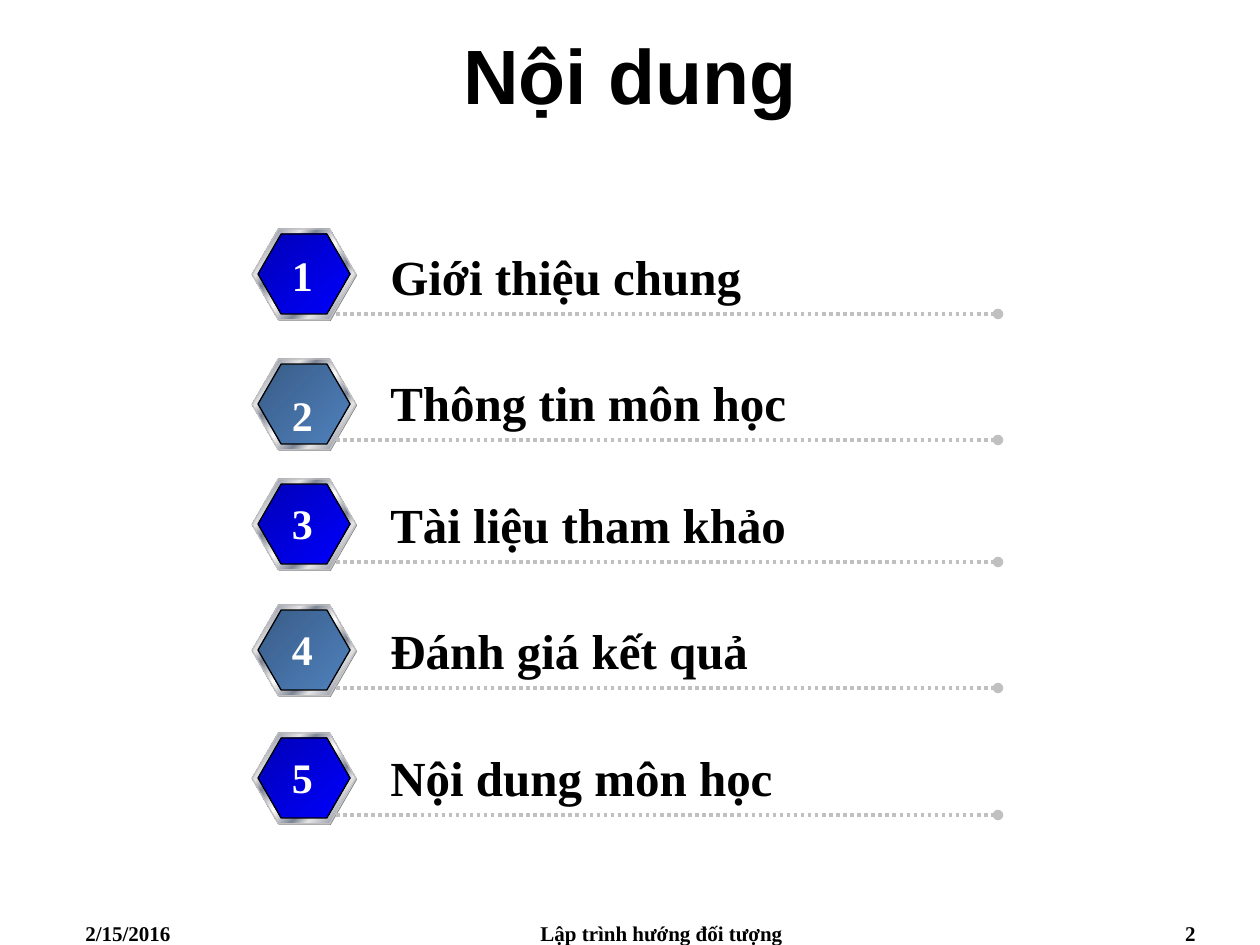
import pptx
import pptx.util
import pptx.dml.color
import pptx.enum.dml
import pptx.enum.shapes
import pptx.enum.text
import pptx.oxml.ns
from lxml import etree

# Content: number, label, colour pair, badge top, rule height, number drop inside the badge
TITLE = "Nội dung"
ITEMS = [
    ("1", "Giới thiệu chung", "blue", 229, 314, 14),
    ("2", "Thông tin môn học", "steel", 359, 440, 24),
    ("3", "Tài liệu tham khảo", "blue", 479, 562, 12),
    ("4", "Đánh giá kết quả", "steel", 605, 688, 12),
    ("5", "Nội dung môn học", "blue", 733, 815, 12),
]
FOOTERS = [  # text, left, width, alignment
    ("2/15/2016", 73, 294, "LEFT"),
    ("Lập trình hướng đối tượng", 462, 399, "CENTER"),
    ("2", 914, 294, "RIGHT"),
]
COLORS = {"black": "000000", "white": "FFFFFF", "shade": "808080", "silver": "C0C0C0",
          "light": "E6E6E6", "slate": "7D8496", "navy": "0000B6", "bright": "0000FF",
          "steel_dark": "395C87", "steel_light": "4F81BD"}
GRADIENTS = {
    "blue": [(0, "navy"), (100, "bright")],
    "steel": [(0, "steel_dark"), (100, "steel_light")],
    "metal": [(0, "light"), (7, "slate"), (26, "light"), (34, "slate"), (46, "light"),
              (50, "white"), (54, "light"), (66, "slate"), (74, "light"), (93, "slate"),
              (100, "light")],
}
SERIF = "Times New Roman"
qn = pptx.oxml.ns.qn


def px(value):
    return pptx.util.Emu(round(value * 914400 / 126))


def color(name):
    return pptx.dml.color.RGBColor.from_string(COLORS[name])


def write(box, text, size, font=SERIF, fill="black", align="LEFT", wrap=True):
    frame = box.text_frame
    frame.word_wrap = wrap
    frame.auto_size = pptx.enum.text.MSO_AUTO_SIZE.NONE
    para = frame.paragraphs[0]
    para.alignment = pptx.enum.text.PP_ALIGN[align]
    span = para.add_run()
    span.text = text
    span.font.name = font
    span.font.size = pptx.util.Pt(size)
    span.font.bold = True
    span.font.color.rgb = color(fill)


def add_text(page, left, top, width, height, text, size, **style):
    box = page.shapes.add_textbox(px(left), px(top), px(width), px(height))
    write(box, text, size, **style)


def add_hexagon(page, left, top, width, height, fill, line=None):
    shape = page.shapes.add_shape(pptx.enum.shapes.MSO_SHAPE.HEXAGON,
                                  px(left), px(top), px(width), px(height))
    shape.adjustments[0] = 0.289
    shape.shadow.inherit = False
    if fill in GRADIENTS:
        shape.fill.gradient()
        shape.fill.gradient_angle = 315
        stops = next(shape.element.iter(qn("a:gsLst")))
        for stop in list(stops):
            stops.remove(stop)
        for position, name in GRADIENTS[fill]:
            stop = etree.SubElement(stops, qn("a:gs"), pos=str(position * 1000))
            etree.SubElement(stop, qn("a:srgbClr"), val=COLORS[name])
    else:
        shape.fill.solid()
        shape.fill.fore_color.rgb = color(fill)
    if line:
        shape.line.color.rgb = color(line)
        shape.line.width = pptx.util.Pt(0.75)
    else:
        shape.line.fill.background()


def add_rule(page, left, right, y):
    rule = page.shapes.add_connector(pptx.enum.shapes.MSO_CONNECTOR.STRAIGHT,
                                     px(left), px(y), px(right), px(y))
    rule.line.color.rgb = color("silver")
    rule.line.width = pptx.util.Pt(2)
    rule.line.dash_style = pptx.enum.dml.MSO_LINE.ROUND_DOT
    properties = rule.element.spPr
    etree.SubElement(properties.find(qn("a:ln")), qn("a:tailEnd"), type="oval")
    etree.SubElement(properties, qn("a:effectLst"))


deck = pptx.Presentation()
deck.slide_width, deck.slide_height = px(1260), px(945)
page = deck.slides.add_slide(deck.slide_layouts[5])

# Title
title = page.shapes.title
title.left, title.top, title.width, title.height = px(0), px(0), px(1260), px(147)
title.text_frame.vertical_anchor = pptx.enum.text.MSO_ANCHOR.MIDDLE
write(title, TITLE, 44, font="Arial", align="CENTER")

# Footer line
for text, left, width, align in FOOTERS:
    add_text(page, left, 914, width, 31, text, 12, align=align)

# Numbered items
for number, label, fill, top, rule_y, drop in ITEMS:
    add_hexagon(page, 253, top + 1, 104, 91, "shade")
    add_hexagon(page, 252, top, 104, 91, "metal", line="silver")
    add_hexagon(page, 258, top + 5, 92, 80, fill, line="black")
    add_rule(page, 336, 998, rule_y)
    add_text(page, 378, rule_y - 74, 620, 72, label, 28)
    add_text(page, 279, top + drop, 47, 63, number, 24, fill="white", align="CENTER", wrap=False)

deck.save("out.pptx")
